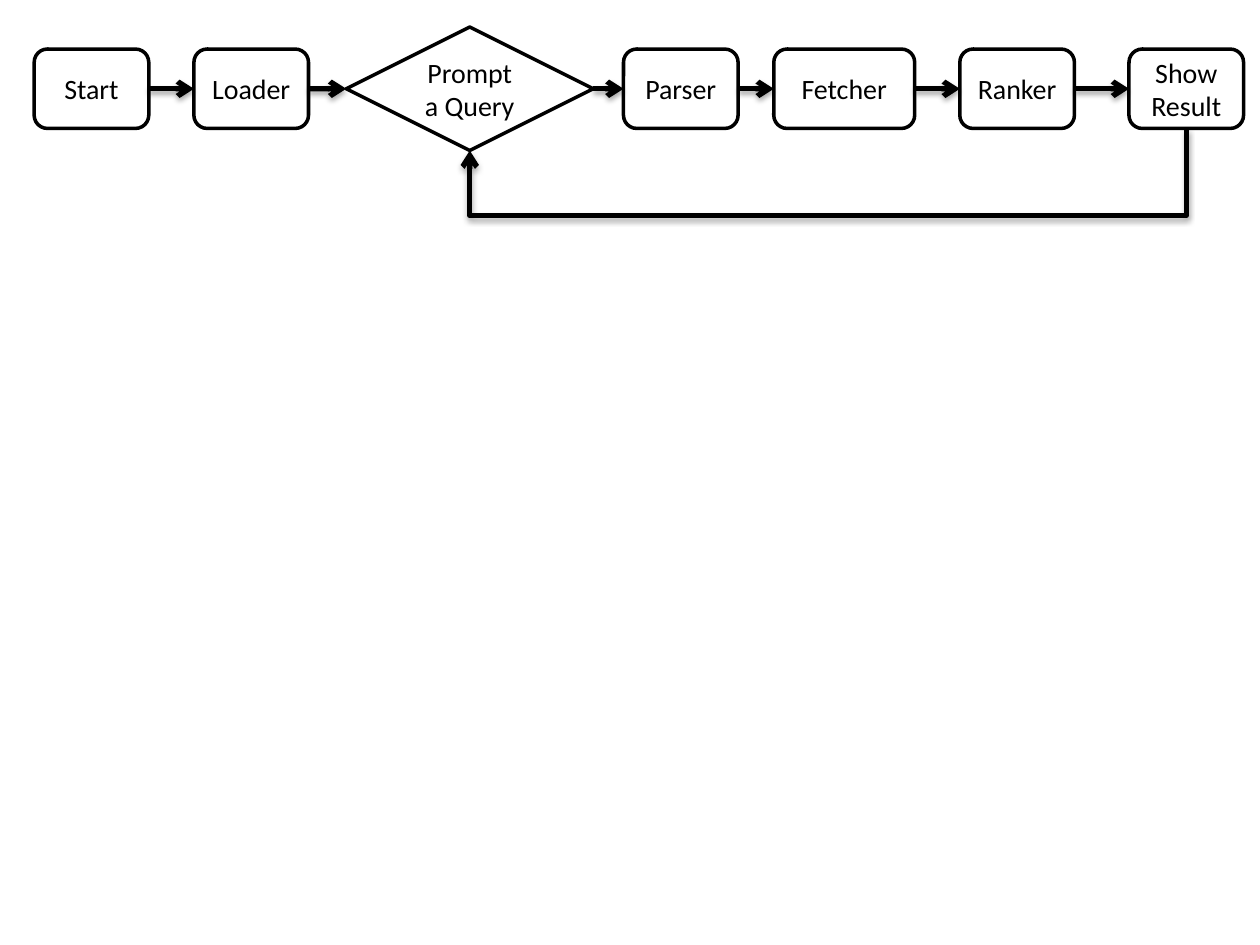
from itertools import pairwise

from lxml.etree import fromstring
from pptx import Presentation
from pptx.dml.color import RGBColor as Rgb
from pptx.enum.shapes import MSO_CONNECTOR as Link, MSO_SHAPE as Kind
from pptx.enum.text import MSO_ANCHOR as Anchor, PP_ALIGN as Align
from pptx.util import Cm, Pt

NS = "http://schemas.openxmlformats.org/drawingml/2006/main"
INK = "000000"
FONT = {"name": "Calibri", "size": Pt(16)}
FRAME = {"vertical_anchor": Anchor.MIDDLE, "word_wrap": True}
TOP, LEFT, RIGHT = 0, 1, 3
RISE = 1.79
DROP = 2.55
STEPS = [
    ("Start", 0.69, 2.31, 1.6),
    ("Loader", 3.91, 2.31, 1.6),
    ("Prompt a Query", 6.98, 4.98, 2.49),
    ("Parser", 12.57, 2.31, 1.6),
    ("Fetcher", 15.6, 2.84, 1.6),
    ("Ranker", 19.35, 2.31, 1.6),
    ("Show Result", 22.76, 2.31, 1.6),
]


def tint(code):
    return Rgb.from_string(code)


def style(item, form):
    for key, val in form.items():
        setattr(item, key, val)


def stroke(line, size):
    line.color.rgb = tint(INK)
    line.width = Pt(size)


def add_step(slide, text, left, mid, wide, high):
    kind = Kind.DIAMOND if text.startswith("Prompt") else Kind.ROUNDED_RECTANGLE
    step = slide.shapes.add_shape(kind, Cm(left), Cm(mid - high / 2), Cm(wide), Cm(high))
    step.shadow.inherit = False
    step.fill.background()
    stroke(step.line, 2)
    style(step.text_frame, FRAME)
    para = step.text_frame.paragraphs[0]
    para.text = text
    para.alignment = Align.CENTER
    style(para.font, FONT)
    para.font.color.rgb = tint(INK)
    return step


def finish(arrow):
    stroke(arrow.line, 3)
    props = arrow._element.spPr
    props.find(f"{{{NS}}}ln").append(fromstring(f'<a:tailEnd xmlns:a="{NS}" type="arrow"/>'))
    props.append(fromstring(
        f'<a:effectLst xmlns:a="{NS}">'
        '<a:outerShdw blurRad="40000" dist="23000" dir="5400000" rotWithShape="0">'
        f'<a:srgbClr val="{INK}"><a:alpha val="35000"/></a:srgbClr>'
        "</a:outerShdw></a:effectLst>"))


def add_arrow(slide, start, end):
    arrow = slide.shapes.add_connector(Link.STRAIGHT, 0, 0, 0, 0)
    arrow.begin_connect(start, RIGHT)
    arrow.end_connect(end, LEFT)
    finish(arrow)


def add_loop(slide, start, end, drop):
    x1, y1 = start.left + start.width // 2, start.top + start.height
    x2, y2 = end.left + end.width // 2, end.top + end.height
    span, fall = x1 - x2, y2 - y1
    midx, midy = (x1 + x2) // 2, (y1 + y2) // 2
    loop = slide.shapes.add_connector(
        Link.ELBOW, midx - fall // 2, midy - span // 2, midx + fall // 2, midy + span // 2)
    props = loop._element.spPr
    props.find(f"{{{NS}}}xfrm").set("rot", "5400000")
    bend = round((y1 + drop - y1) / fall * 100000)
    guides = props.find(f"{{{NS}}}prstGeom").find(f"{{{NS}}}avLst")
    guides.append(fromstring(f'<a:gd xmlns:a="{NS}" name="adj1" fmla="val {bend}"/>'))
    finish(loop)


def add_flow(slide, left, mid):
    steps = [add_step(slide, text, left + x, mid, wide, high)
             for text, x, wide, high in STEPS]
    for start, end in pairwise(steps):
        add_arrow(slide, start, end)
    add_loop(slide, steps[-1], steps[2], Cm(DROP - 0.8))


def main():
    deck = Presentation()
    style(deck, {"slide_width": Cm(25.4), "slide_height": Cm(19.05)})
    slide = deck.slides.add_slide(deck.slide_layouts[6])
    add_flow(slide, 0, RISE)
    deck.save("out.pptx")


if __name__ == "__main__":
    main()
